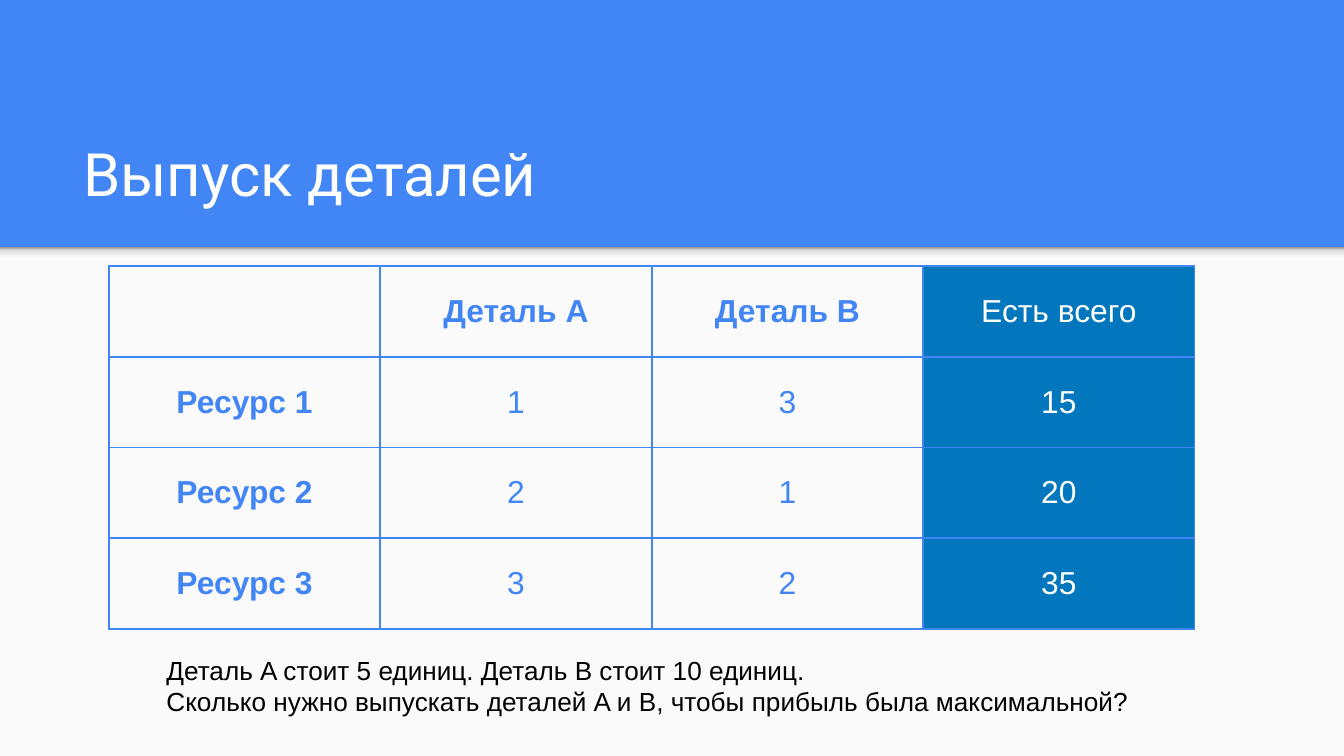
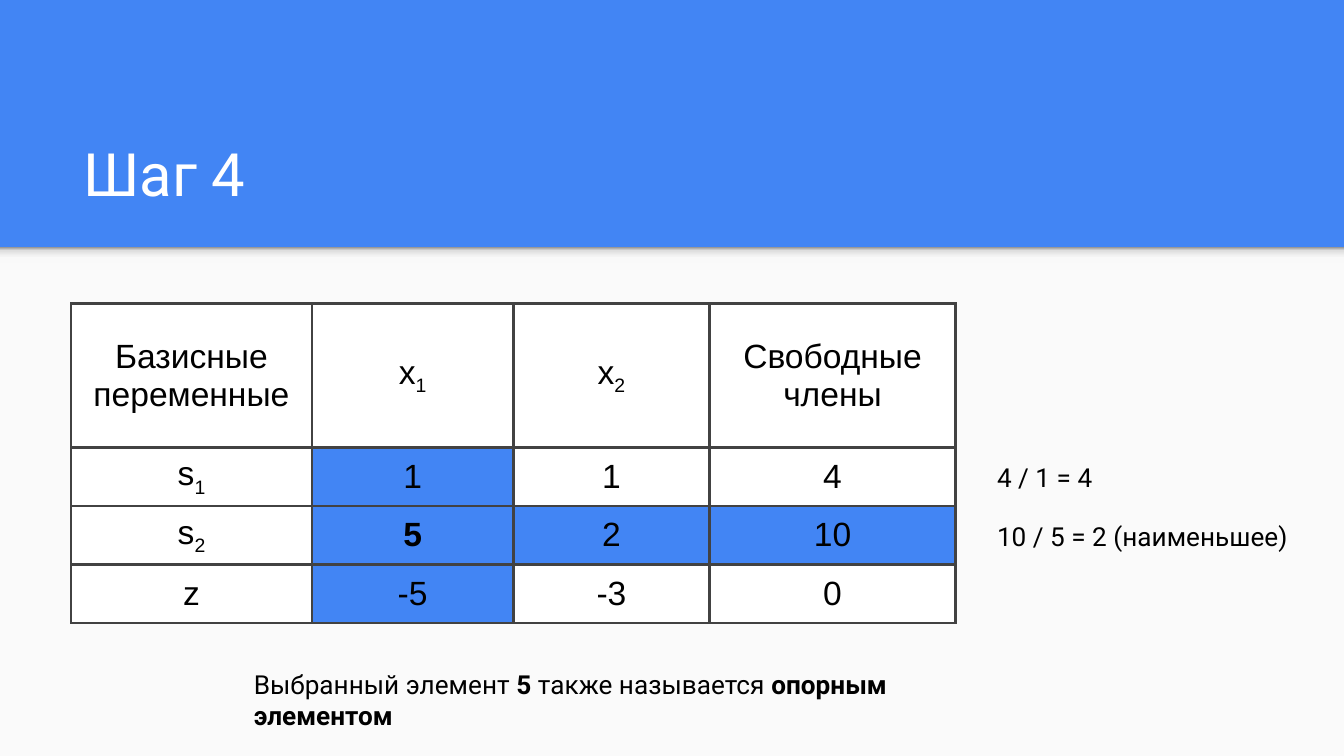
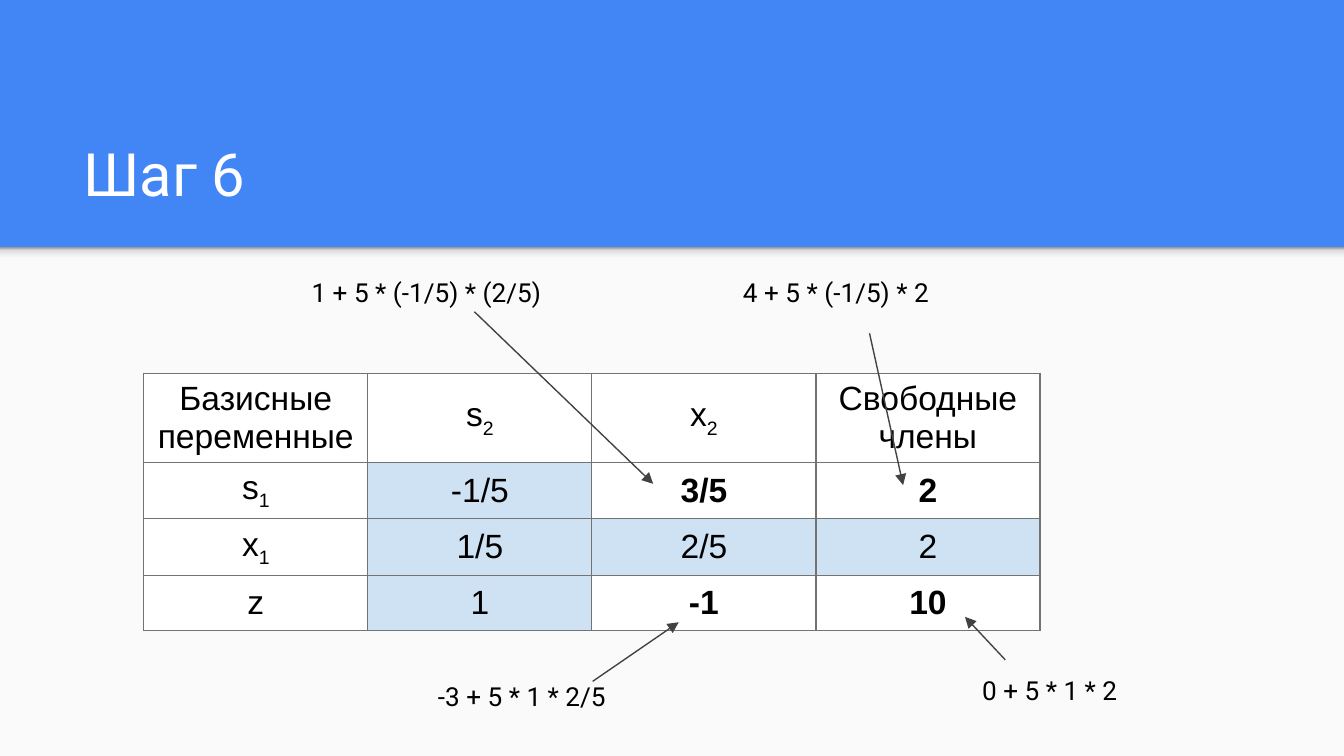
from lxml.etree import SubElement
from pptx import Presentation
from pptx.dml.color import RGBColor
from pptx.enum.shapes import MSO_CONNECTOR, MSO_SHAPE
from pptx.enum.text import MSO_ANCHOR as Anchor, MSO_AUTO_SIZE as AutoSize, PP_ALIGN as Align
from pptx.oxml.ns import qn
from pptx.util import Inches, Pt

# Shared look
WIDTH, HEIGHT = 10, 5.625
BAND_BOTTOM = 1.84
BLUE, DEEP_BLUE, PALE_BLUE = "4285F4", "0277BD", "CFE2F3"
WHITE, BLACK, PAPER, DARK, GREY = "FFFFFF", "000000", "FAFAFA", "424242", "737373"
SHADOW_STOPS = [(0, "F9F9F9"), (36, "F9F9F9"), (80, "DEDEDE"), (100, "999999")]
TITLE_BOX = (0.52, 0.81, 8.99, 0.84)

# Content: ** marks bold text, _ starts a subscript
RESOURCES = [
    ["", "**Деталь A**", "**Деталь B**", "Есть всего"],
    ["**Ресурс 1**", "1", "3", "15"],
    ["**Ресурс 2**", "2", "1", "20"],
    ["**Ресурс 3**", "3", "2", "35"],
]
QUESTION = [
    "Деталь A стоит 5 единиц. Деталь B стоит 10 единиц.",
    "Сколько нужно выпускать деталей A и B, чтобы прибыль была максимальной?",
]
STEP_4 = [
    ["Базисные переменные", "x_1", "x_2", "Свободные члены"],
    ["s_1", "1", "1", "4"],
    ["s_2", "**5**", "2", "10"],
    ["z", "-5", "-3", "0"],
]
STEP_4_NOTES = [
    ("4 / 1 = 4", (7.32, 3.33, 2.18, 0.35)),
    ("10 / 5 = 2 (наименьшее)", (7.32, 3.77, 2.42, 0.35)),
    ("Выбранный элемент **5** также называется **опорным элементом**",
     (1.79, 4.87, 5.99, 0.52)),
]
STEP_6 = [
    ["Базисные переменные", "s_2", "x_2", "Свободные члены"],
    ["s_1", "-1/5", "**3/5**", "**2**"],
    ["x_1", "1/5", "2/5", "2"],
    ["z", "1", "**-1**", "**10**"],
]
# Formula, its corner, arrow start, arrow end
STEP_6_FORMULAS = [
    ("1 + 5 * (-1/5) * (2/5)", (2.22, 1.96), (3.53, 2.32), (4.86, 3.6)),
    ("4 + 5 * (-1/5) * 2", (5.43, 1.96), (6.47, 2.48), (6.72, 3.61)),
    ("0 + 5 * 1 * 2", (7.21, 4.92), (7.48, 4.91), (7.18, 4.59)),
    ("-3 + 5 * 1 * 2/5", (3.16, 4.96), (4.41, 5.07), (5.05, 4.63)),
]
FORMULA_SIZE = (2.07, 0.52)


def rgb(color):
    return RGBColor.from_string(color)


def inches(values):
    return [Inches(value) for value in values]


def add_solid(parent, color):
    SubElement(SubElement(parent, qn("a:solidFill")), qn("a:srgbClr"), val=color)


def set_insets(target, across, down):
    target.margin_left = target.margin_right = Inches(across)
    target.margin_top = target.margin_bottom = Inches(down)


def write(frame, *lines, size=14, font="Roboto", color=BLACK, align=Align.LEFT):
    """Fill a text frame, one paragraph per line."""
    for index, line in enumerate(lines):
        para = frame.add_paragraph() if index else frame.paragraphs[0]
        para.alignment = align
        for number, piece in enumerate(line.split("**")):
            base, _, subscript = piece.partition("_")
            for text, offset in ((base, None), (subscript, "-25000")):
                if not text:
                    continue
                span = para.add_run()
                span.text = text
                span.font.size, span.font.name = Pt(size), font
                span.font.color.rgb = rgb(color)
                span.font.bold = number % 2 == 1
                if offset:
                    span.font._element.set("baseline", offset)


def add_text(page, box, *lines, inset_down=0.1, **style):
    frame = page.shapes.add_textbox(*inches(box)).text_frame
    frame.word_wrap = True
    set_insets(frame, 0.1, inset_down)
    write(frame, *lines, **style)
    return frame


def add_table(page, rows, corner, col_widths, row_heights, border, weight, look,
              size=18, insets=(0.1, 0.05)):
    """look(row, column) gives the fill (or None) and text colour of a cell."""
    box = (*corner, sum(col_widths), sum(row_heights))
    table = page.shapes.add_table(len(rows), len(rows[0]), *inches(box)).table
    table.first_row = table.horz_banding = False
    for column, width in zip(table.columns, col_widths):
        column.width = Inches(width)
    for row, height in zip(table.rows, row_heights):
        row.height = Inches(height)
    for r, row in enumerate(rows):
        for c, text in enumerate(row):
            cell = table.cell(r, c)
            fill, color = look(r, c)
            cell.vertical_anchor = Anchor.MIDDLE
            set_insets(cell, *insets)
            for side in ("lnL", "lnR", "lnT", "lnB"):
                edge = SubElement(cell._tc.get_or_add_tcPr(), qn(f"a:{side}"),
                                  w=str(Pt(weight)))
                add_solid(edge, border)
            if fill:
                cell.fill.solid()
                cell.fill.fore_color.rgb = rgb(fill)
            else:
                cell.fill.background()
            write(cell.text_frame, text, size=size, font="Arial", color=color,
                  align=Align.CENTER)


def pivot_look(fill):
    """Highlight the pivot row and the pivot column, headers aside."""
    def look(row, column):
        chosen = row and column and (row == 2 or column == 1)
        return (fill if chosen else WHITE), BLACK
    return look


def total_look(row, column):
    return (DEEP_BLUE, WHITE) if column == 3 else (None, BLUE)


def add_arrow(page, start, end):
    arrow = page.shapes.add_connector(MSO_CONNECTOR.STRAIGHT, *inches(start + end))
    arrow.line.color.rgb = rgb(DARK)
    arrow.line.width = Pt(0.75)
    SubElement(arrow.line._get_or_add_ln(), qn("a:tailEnd"), type="triangle")
    SubElement(arrow._element.spPr, qn("a:effectLst"))


def dress_layout(layout, page):
    """Give the layout its blue band, paper and shadow, drawn via the first page."""
    layout.background.fill.solid()
    layout.background.fill.fore_color.rgb = rgb(BLUE)
    heights = (HEIGHT - BAND_BOTTOM, 0.12)
    paper, shadow = [
        page.shapes.add_shape(MSO_SHAPE.RECTANGLE, *inches((0, BAND_BOTTOM, WIDTH, height)))
        for height in heights]
    paper.fill.solid()
    paper.fill.fore_color.rgb = rgb(PAPER)
    shadow.fill.gradient()
    shadow.fill.gradient_angle = 90
    stops = shadow._element.spPr.find(qn("a:gradFill")).find(qn("a:gsLst"))
    stops.clear()
    for position, color in SHADOW_STOPS:
        stop = SubElement(stops, qn("a:gs"), pos=str(position * 1000))
        SubElement(stop, qn("a:srgbClr"), val=color)
    for index, shape in enumerate((paper, shadow)):
        shape.line.fill.background()
        shape.shadow.inherit = False
        layout.shapes.element.insert(2 + index, shape.element)


def add_page(deck, heading):
    page = deck.slides.add_slide(deck.slide_layouts[5])
    title = page.shapes.title
    title.left, title.top, title.width, title.height = inches(TITLE_BOX)
    frame = title.text_frame
    frame.auto_size = AutoSize.NONE
    frame.vertical_anchor = Anchor.BOTTOM
    set_insets(frame, 0.1, 0.1)
    write(frame, heading, size=32, color=WHITE)
    return page


def main():
    deck = Presentation()
    deck.slide_width, deck.slide_height = inches((WIDTH, HEIGHT))

    # Problem statement
    page = add_page(deck, "Выпуск деталей")
    dress_layout(deck.slide_layouts[5], page)
    add_table(page, RESOURCES, (0.81, 1.98), [2.02] * 4, [0.675] * 4, BLUE, 1,
              total_look, size=17, insets=(0.12, 0.06))
    add_text(page, (1.14, 4.82, 7.43, 0.57), *QUESTION, inset_down=0.05, font="Arial")

    # Choice of the pivot
    page = add_page(deck, "Шаг 4")
    add_table(page, STEP_4, (0.53, 2.26), [1.79, 1.5, 1.46, 1.83],
              [1.07] + [0.435] * 3, DARK, 1.5, pivot_look(BLUE))
    for note, box in STEP_4_NOTES:
        add_text(page, box, note)

    # Recalculated table with formulas
    page = add_page(deck, "Шаг 6")
    add_table(page, STEP_6, (1.07, 2.78), [1.667] * 4, [0.41] * 4, GREY, 0.75,
              pivot_look(PALE_BLUE))
    for formula, corner, start, end in STEP_6_FORMULAS:
        add_text(page, corner + FORMULA_SIZE, formula)
        add_arrow(page, start, end)

    deck.save("out.pptx")


if __name__ == "__main__":
    main()
